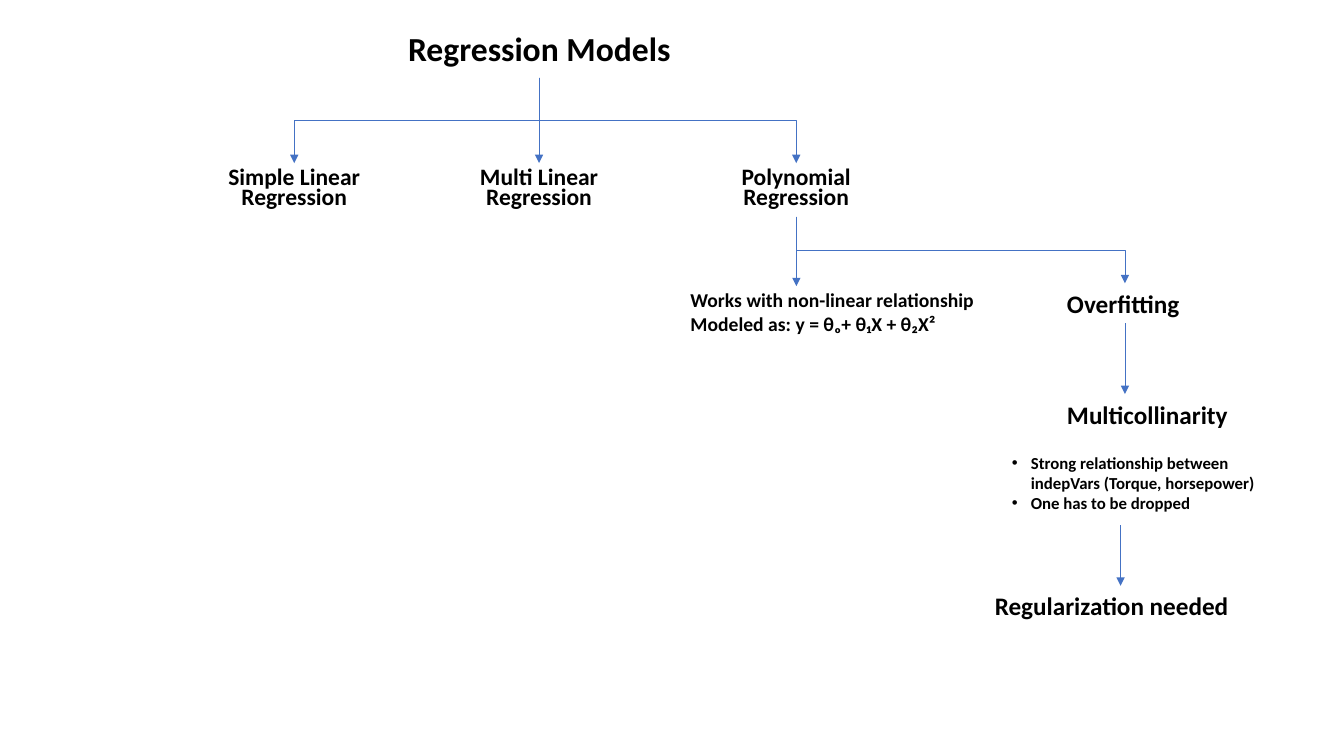
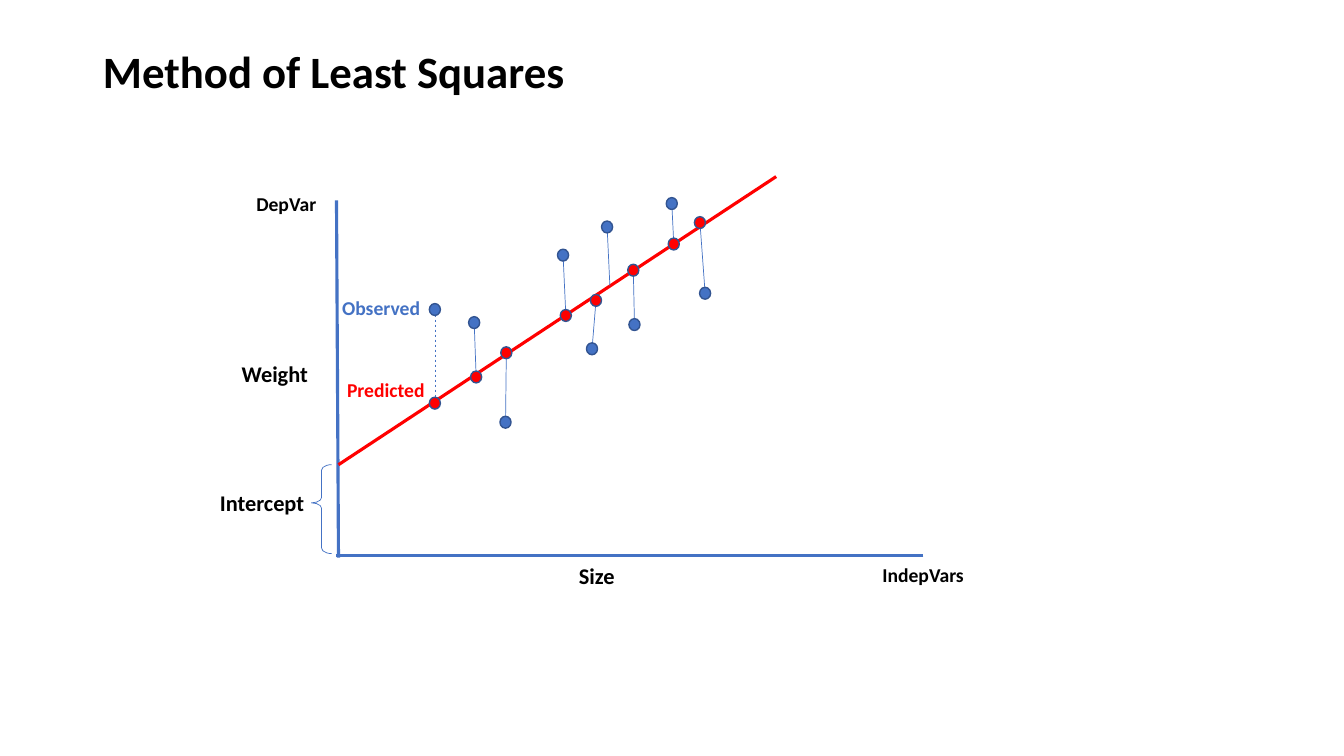
from dataclasses import dataclass
from typing import Optional

from lxml.etree import SubElement
from pptx import Presentation
from pptx.dml.color import RGBColor
from pptx.enum.dml import MSO_LINE
from pptx.enum.shapes import MSO_CONNECTOR, MSO_SHAPE
from pptx.enum.text import MSO_ANCHOR, MSO_AUTO_SIZE, PP_ALIGN
from pptx.oxml.ns import qn
from pptx.util import Cm, Pt

FONT = "Calibri"
BLACK, BLUE, RED, EDGE = "000000", "4472C4", "FF0000", "325491"
THIN, THICK = 0.5, 2.25
DOT_W, DOT_H = 0.28, 0.3
LEFT, CENTER = PP_ALIGN.LEFT, PP_ALIGN.CENTER

Point = tuple[float, float]


@dataclass
class Box:
    """A place on the slide, in centimetres."""
    x: float
    y: float
    w: float
    h: float

    def span(self) -> list:
        """Return the four lengths."""
        return [Cm(v) for v in (self.x, self.y, self.w, self.h)]


@dataclass
class Label:
    """A text box and its format."""
    text: str
    box: Box
    size: float
    color: str = BLACK
    align: PP_ALIGN = CENTER
    wrap: bool = False
    bullet: bool = False


@dataclass
class Sample:
    """An observed point and the point predicted for it."""
    seen: Point
    guess: Point
    dash: bool = False
    mark: bool = True


def tint(code: str) -> RGBColor:
    """Turn a hex string into a colour."""
    return RGBColor.from_string(code)


def write(shape, text: str, *, size: float, color: str = BLACK,
          align: PP_ALIGN = LEFT, gap: Optional[float] = None,
          wrap: bool = True, grow: bool = False, middle: bool = False,
          bullet: bool = False) -> None:
    """Fill a shape with bold text, one paragraph a line."""
    frame = shape.text_frame
    frame.text = text
    frame.word_wrap = wrap
    frame.auto_size = (MSO_AUTO_SIZE.SHAPE_TO_FIT_TEXT if grow
                       else MSO_AUTO_SIZE.NONE)
    frame.vertical_anchor = MSO_ANCHOR.MIDDLE if middle else MSO_ANCHOR.TOP
    for para in frame.paragraphs:
        para.alignment = align
        para.line_spacing = gap
        for run in para.runs:
            font = run.font
            font.name, font.size, font.bold = FONT, Pt(size), True
            font.color.rgb = tint(color)
        if bullet:
            props = para._p.get_or_add_pPr()
            props.set("marL", str(Cm(0.48)))
            props.set("indent", str(-Cm(0.48)))
            SubElement(props, qn("a:buFont")).set("typeface", "Arial")
            SubElement(props, qn("a:buChar")).set("char", "•")


def start(deck, text: str, box: Box, size: float, align: PP_ALIGN):
    """Add a slide with its title and return it."""
    slide = deck.slides.add_slide(deck.slide_layouts[5])
    title = slide.shapes.title
    title.left, title.top, title.width, title.height = box.span()
    write(title, text, size=size, align=align, gap=0.9, middle=True)
    return slide


def put(slide, label: Label) -> None:
    """Add a text box that fits its text."""
    shape = slide.shapes.add_textbox(*label.box.span())
    write(shape, label.text, size=label.size, color=label.color,
          align=label.align, wrap=label.wrap, grow=True, bullet=label.bullet)


def link(slide, head: Point, tail: Point, *, color: str = BLUE,
         width: float = THIN, arrow: bool = False, dash: bool = False,
         kind: MSO_CONNECTOR = MSO_CONNECTOR.STRAIGHT):
    """Add a line or an arrow."""
    wire = slide.shapes.add_connector(kind, *map(Cm, head + tail))
    wire.line.color.rgb = tint(color)
    wire.line.width = Pt(width)
    if dash:
        wire.line.dash_style = MSO_LINE.DASH
    props = wire._element.spPr
    if arrow:
        SubElement(props.find(qn("a:ln")), qn("a:tailEnd")).set("type", "triangle")
    SubElement(props, qn("a:effectLst"))
    return wire


def bend(slide, head: Point, tail: Point) -> None:
    """Add an elbow arrow that leaves downward, as a turned connector."""
    (x1, y1), (x2, y2) = head, tail
    mid_x, mid_y = (x1 + x2) / 2, (y1 + y2) / 2
    half_h = abs(x2 - x1) / 2
    left = x2 < x1
    half_w = (y2 - y1) / 2 * (-1 if left else 1)
    wire = link(slide, (mid_x + half_w, mid_y - half_h),
                (mid_x - half_w, mid_y + half_h),
                arrow=True, kind=MSO_CONNECTOR.ELBOW)
    turn = 90 if left else 270
    wire._element.spPr.find(qn("a:xfrm")).set("rot", str(turn * 60000))


def dot(slide, spot: Point, color: str) -> None:
    """Add a data point around its centre."""
    x, y = spot
    box = Box(x - DOT_W / 2, y - DOT_H / 2, DOT_W, DOT_H)
    shape = slide.shapes.add_shape(MSO_SHAPE.OVAL, *box.span())
    shape.shadow.inherit = False
    shape.fill.solid()
    shape.fill.fore_color.rgb = tint(color)
    shape.line.color.rgb = tint(EDGE)
    shape.line.width = Pt(1)


def brace(slide, box: Box) -> None:
    """Add the brace that marks the intercept."""
    shape = slide.shapes.add_shape(MSO_SHAPE.LEFT_BRACE, *box.span())
    shape.shadow.inherit = False
    shape.fill.background()
    shape.line.color.rgb = tint(BLUE)
    shape.line.width = Pt(THIN)
    shape.adjustments[0] = 0.27
    shape.adjustments[1] = 0.43


ROOT = (13.59, 1.96)
ROW_Y, ROW_W, ROW_H = 4.11, 4.37, 1.35
MODELS = [(5.23, "Simple Linear Regression"),
          (11.4, "Multi Linear Regression"),
          (17.88, "Polynomial\nRegression")]
POLY = (20.07, 5.46)
NOTES = [
    Label("Works with non-linear relationship\nModeled as: y = θₒ+ θ₁X + θ₂X²",
          Box(17.15, 7.14, 7.75, 1.45), 14, align=LEFT),
    Label("Overfitting", Box(26.64, 7.14, 3.38, 1.02), 18, align=LEFT),
    Label("Multicollinarity", Box(26.64, 9.93, 4.6, 1.02), 18, align=LEFT),
    Label("Strong relationship between indepVars (Torque, horsepower)\n"
          "One has to be dropped", Box(25.25, 11.28, 7.14, 1.8), 12,
          align=LEFT, wrap=True, bullet=True),
    Label("Regularization needed", Box(24.82, 14.76, 6.86, 1.02), 18,
          align=LEFT, wrap=True),
]
DROPS = [(20.07, 5.46, 7.21), (28.35, 8.15, 9.93), (28.24, 13.23, 14.76)]

AXES = [((8.48, 5.05), (8.53, 14.05)), ((23.27, 14), (8.48, 14))]
FIT = ((8.53, 11.71), (19.56, 4.45))
NAMES = [
    Label("DepVar", Box(6.2, 4.7, 2.03, 0.86), 14),
    Label("IndepVars", Box(21.97, 14.05, 2.59, 0.86), 14),
    Label("Size", Box(14.33, 14.05, 1.42, 0.94), 16),
    Label("Weight", Box(5.82, 8.94, 2.21, 0.94), 16),
    Label("Predicted", Box(8.48, 9.4, 2.49, 0.86), 14, RED),
    Label("Observed", Box(8.36, 7.34, 2.49, 0.86), 14, BLUE),
    Label("Intercept", Box(5.26, 12.19, 2.69, 0.94), 16),
]
SAMPLES = [
    Sample((10.96, 7.8), (10.96, 10.16), dash=True),
    Sample((11.95, 8.13), (12, 9.5)),
    Sample((12.74, 10.64), (12.76, 8.89)),
    Sample((14.19, 6.43), (14.26, 7.95)),
    Sample((14.92, 8.79), (15.02, 7.57)),
    Sample((15.3, 5.72), (15.37, 7.21), mark=False),
    Sample((15.99, 8.18), (15.96, 6.81)),
    Sample((16.93, 5.13), (16.98, 6.15)),
    Sample((17.77, 7.39), (17.64, 5.61)),
]


def models(deck) -> None:
    """Draw the tree of regression models."""
    slide = start(deck, "Regression Models", Box(10.01, 0.61, 7.16, 1.35),
                  24, CENTER)
    for x, text in MODELS:
        box = Box(x, ROW_Y, ROW_W, ROW_H)
        shape = slide.shapes.add_textbox(*box.span())
        write(shape, text, size=16.8, align=CENTER, gap=0.7, middle=True)
        bend(slide, ROOT, (x + ROW_W / 2, ROW_Y))
    bend(slide, POLY, (28.35, 7.14))
    for x, top, end in DROPS:
        link(slide, (x, top), (x, end), arrow=True)
    for note in NOTES:
        put(slide, note)


def squares(deck) -> None:
    """Draw the least squares plot."""
    slide = start(deck, "Method of Least Squares",
                  Box(2.34, 1.02, 29.21, 1.68), 32, LEFT)
    for head, tail in AXES:
        link(slide, head, tail, width=THICK)
    link(slide, *FIT, color=RED, width=THICK)
    for name in NAMES:
        put(slide, name)
    for item in SAMPLES:
        link(slide, item.seen, item.guess, dash=item.dash)
        dot(slide, item.seen, BLUE)
        if item.mark:
            dot(slide, item.guess, RED)
    brace(slide, Box(7.85, 11.71, 0.51, 2.24))


def main() -> None:
    """Build and save the deck."""
    deck = Presentation()
    deck.slide_width, deck.slide_height = Cm(33.87), Cm(19.05)
    models(deck)
    squares(deck)
    deck.save("out.pptx")


main()
